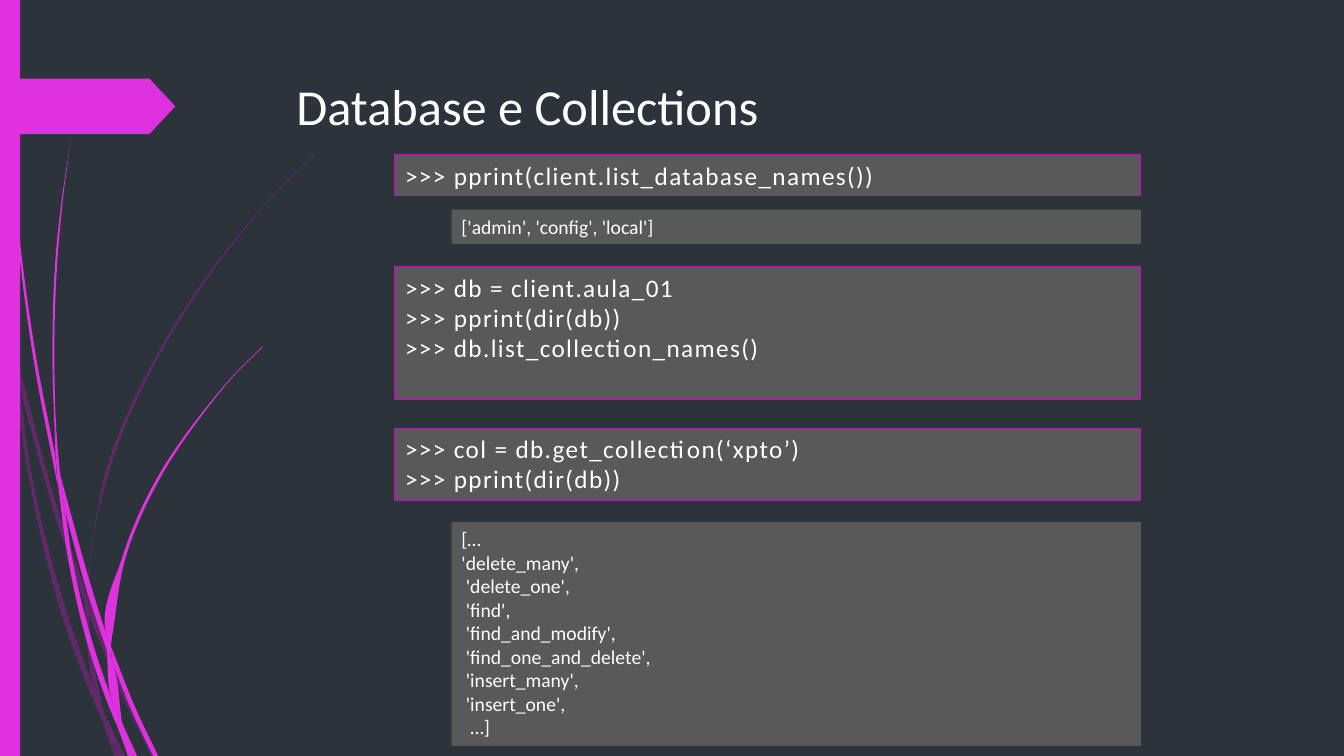
from math import dist

from lxml import etree
from pptx import Presentation
from pptx.dml.color import RGBColor
from pptx.enum import shapes, text
from pptx.oxml.ns import qn
from pptx.util import Inches, Pt

TITLE = "Database e Collections"

# kind, top, height, lines
BLOCKS = [
    ("code", 1.54, 0.4, [">>> pprint(client.list_database_names())"]),
    ("code", 2.65, 1.31, [">>> db = client.aula_01",
                          ">>> pprint(dir(db))",
                          ">>> db.list_collection_names()"]),
    ("output", 5.18, 2.22, ["[…", "'delete_many',", " 'delete_one',", " 'find',",
                            " 'find_and_modify',", " 'find_one_and_delete',",
                            " 'insert_many',", " 'insert_one',", "  …]"]),
    ("output", 2.08, 0.34, ["['admin', 'config', 'local']"]),
    ("code", 4.25, 0.71, [">>> col = db.get_collection(‘xpto’)",
                          ">>> pprint(dir(db))"]),
]

# Each blade of grass: the anchors of its two edges, in drawing order
FAINT_BLADES = [
    ([(0.11, 3.5), (0.09, 3.22), (0, 2.82)], [(0, 2.99), (0.1, 3.44)]),
    ([(0.17, 3.76), (0.58, 5.22), (0.84, 5.99)], [(0.85, 5.86), (0.62, 5.2), (0.14, 3.45)]),
    ([(0.88, 6.1), (1.23, 6.94), (1.5, 7.5)], [(1.55, 7.5), (1.27, 6.92), (0.88, 5.96)]),
    ([(1.19, 7.5), (1.24, 7.5)], [(1.05, 7.11)]),
    ([(0.93, 6.83), (0.7, 6.19), (0.31, 4.69), (0.17, 3.76), (0.11, 3.5)],
     [(0.11, 3.5), (0.28, 4.7), (0.65, 6.21), (0.92, 6.93), (1.01, 7.14)]),
    ([(0.84, 5.99), (0.87, 6.46), (0.93, 6.83), (1.05, 7.11)],
     [(1.03, 7.06), (0.91, 6.46), (0.88, 6.08)]),
    ([(0.88, 5.96), (0.88, 5.84), (1.1, 4.62), (1.6, 3.49), (2.29, 2.45), (2.68, 1.98),
      (2.9, 1.75), (3.12, 1.54)],
     [(3.12, 1.53), (2.89, 1.75), (2.68, 1.97), (2.28, 2.44), (1.58, 3.48), (1.07, 4.61),
      (0.85, 5.84)]),
    ([(1.01, 7.14), (1.14, 7.5)], [(1.19, 7.5), (1.01, 7.14)]),
    ([(0.88, 6.1), (0.88, 5.96)], [(0.85, 5.86), (0.84, 5.99)]),
    ([(0.93, 6.83), (0.99, 7.07), (1.19, 7.5)], [(1.19, 7.5), (1.05, 7.11), (0.96, 6.92)]),
]
BRIGHT_BLADES = [
    ([(0.03, 0), (0.04, 0.48), (0.07, 1.1), (0.17, 2.33), (0.33, 3.55), (0.57, 4.81)],
     [(0.55, 4.53), (0.36, 3.55), (0.19, 2.32), (0.08, 1.09), (0.05, 0.48), (0.04, 0)]),
    ([(0.64, 5.05), (0.88, 5.92), (1.06, 6.45)], [(1.06, 6.31), (0.93, 5.9), (0.6, 4.72)]),
    ([(1.11, 6.56), (1.32, 7.08), (1.52, 7.5)], [(1.57, 7.5), (1.36, 7.06), (1.1, 6.41)]),
    ([(1.1, 6.91), (0.98, 6.57), (0.72, 5.56), (0.64, 5.05), (0.57, 4.77)],
     [(0.57, 4.77), (0.68, 5.57), (0.93, 6.59), (1.11, 7.08), (1.17, 7.22)]),
    ([(0.6, 4.72), (0.58, 4.53), (0.54, 3.49), (0.58, 2.45), (0.63, 1.93), (0.7, 1.41)],
     [(0.7, 1.41), (0.62, 1.93), (0.56, 2.45), (0.52, 3.49), (0.55, 4.49)]),
    ([(1.33, 7.5), (1.36, 7.5)], [(1.22, 7.19)]),
    ([(0.57, 4.77), (0.64, 5.05)], [(0.6, 4.72), (0.55, 4.49)]),
    ([(1.11, 6.33), (1.25, 5.52), (1.58, 4.76), (2.05, 4.06), (2.31, 3.74), (2.61, 3.44)],
     [(2.6, 3.44), (2.31, 3.73), (2.04, 4.05), (1.56, 4.74), (1.22, 5.51), (1.06, 6.31),
      (1.1, 6.41)]),
    ([(1.17, 7.22), (1.27, 7.5)], [(1.31, 7.5), (1.17, 7.22)]),
    ([(1.06, 6.45), (1.1, 6.91), (1.22, 7.19)], [(1.21, 7.16), (1.11, 6.56), (1.06, 6.45)]),
    ([(1.06, 6.45), (1.11, 6.56)], [(1.1, 6.41), (1.06, 6.31)]),
    ([(1.1, 6.91), (1.17, 7.22), (1.3, 7.5)], [(1.33, 7.5), (1.22, 7.19), (1.16, 7.06)]),
]


class Theme:
    font = "Calibri"
    background = RGBColor.from_string("2C333A")
    accent = RGBColor.from_string("DE32DE")
    accent_dark = RGBColor.from_string("B01CB0")
    border = RGBColor.from_string("A425A4")
    panel = RGBColor.from_string("595959")
    ink = RGBColor.from_string("FFFFFF")
    title_size = 36
    faint = 40       # percent opaque


# left, width, type size, letter spacing in points, bordered
STYLES = {"code": (3.92, 7.39, 18, 1, True),
          "output": (4.48, 6.84, 14, 0, False)}


def slope(a, b, c):
    """Direction of a smooth curve at b, weighted by the distance to a and c."""
    before, after = dist(a, b), dist(b, c)
    if not before or not after:
        return [(w - u) / (before + after) for u, w in zip(a, c)]
    return [((v - u) / before * after + (w - v) / after * before) / (before + after)
            for u, v, w in zip(a, b, c)]


def curve(anchors):
    """Two control points and an end point for each step between anchors."""
    ends = [anchors[0], *anchors, anchors[-1]]
    points = []
    for a, b, c, d in zip(ends, ends[1:], ends[2:], ends[3:]):
        third = dist(b, c) / 3
        points += [tuple(v + third * m for v, m in zip(b, slope(a, b, c))),
                   tuple(v - third * m for v, m in zip(c, slope(b, c, d))), c]
    return points


def paint(sp, color, opacity=100):
    sp.shadow.inherit = False
    sp.fill.solid()
    sp.fill.fore_color.rgb = color
    sp.line.fill.background()
    if opacity < 100:
        clr = sp.fill._xPr.find(qn("a:solidFill"))[0]
        etree.SubElement(clr, qn("a:alpha")).set("val", str(opacity * 1000))


def add_blades(s, blades, color, opacity=100):
    group = s.shapes.add_group_shape()
    for edge, back in blades:
        join = [back[0]] * 3 if back[0] != edge[-1] else []
        points = [edge[0]] + curve(edge) + join + curve(back)
        points = [(Inches(x), Inches(y)) for x, y in points]
        fb = group.shapes.build_freeform(*points[0])
        fb.add_line_segments(points[1:], close=True)
        sp = fb.convert_to_shape()
        paint(sp, color, opacity)
        # Every three segments become one Bezier curve
        lines = list(sp._element.iter(qn("a:lnTo")))
        for i in range(0, len(lines), 3):
            bezier = etree.Element(qn("a:cubicBezTo"))
            lines[i].addprevious(bezier)
            for line in lines[i:i + 3]:
                bezier.append(line[0])
                line.getparent().remove(line)
    return group


def add_shape(s, kind, left, top, width, height, color):
    sp = s.shapes.add_shape(kind, Inches(left), Inches(top), Inches(width), Inches(height))
    paint(sp, color)
    return sp


def add_run(p, line, size, spacing=0):
    r = p.add_run()
    r.text = line
    r.font.name = Theme.font
    r.font.size = Pt(size)
    r.font.color.rgb = Theme.ink
    if spacing:
        r._r.get_or_add_rPr().set("spc", str(spacing * 100))


def add_block(s, kind, top, height, lines):
    left, width, size, spacing, bordered = STYLES[kind]
    sp = add_shape(s, shapes.MSO_SHAPE.RECTANGLE, left, top, width, height, Theme.panel)
    if bordered:
        sp.line.color.rgb = Theme.border
        sp.line.width = Pt(1.25)
    tf = sp.text_frame
    tf.word_wrap = True
    tf.vertical_anchor = text.MSO_ANCHOR.TOP
    for i, line in enumerate(lines):
        p = tf.add_paragraph() if i else tf.paragraphs[0]
        p.alignment = text.PP_ALIGN.LEFT
        add_run(p, line, size, spacing)


def main():
    prs = Presentation()
    prs.slide_width, prs.slide_height = Inches(40 / 3), Inches(7.5)
    s = prs.slides.add_slide(prs.slide_layouts[5])
    s.background.fill.solid()
    s.background.fill.fore_color.rgb = Theme.background

    # Grass, side bar and tag belong to the slide master
    decor = [add_blades(s, FAINT_BLADES, Theme.accent_dark, Theme.faint),
             add_blades(s, BRIGHT_BLADES, Theme.accent),
             add_shape(s, shapes.MSO_SHAPE.RECTANGLE, 0, 0, 0.2, 7.5, Theme.accent),
             add_shape(s, shapes.MSO_SHAPE.PENTAGON, 0, 0.78, 1.74, 0.55, Theme.accent)]
    decor[-1].adjustments[0] = 0.47
    for sp in decor:
        prs.slide_master.shapes._spTree.append(sp._element)

    # Title
    title = s.shapes.title
    title.left, title.top = Inches(2.84), Inches(0.69)
    title.width, title.height = Inches(9.75), Inches(1.4)
    tf = title.text_frame
    tf.vertical_anchor = text.MSO_ANCHOR.TOP
    tf.paragraphs[0].alignment = text.PP_ALIGN.LEFT
    add_run(tf.paragraphs[0], TITLE, Theme.title_size)

    # Code and output panels
    for block in BLOCKS:
        add_block(s, *block)

    prs.save("out.pptx")


if __name__ == "__main__":
    main()
